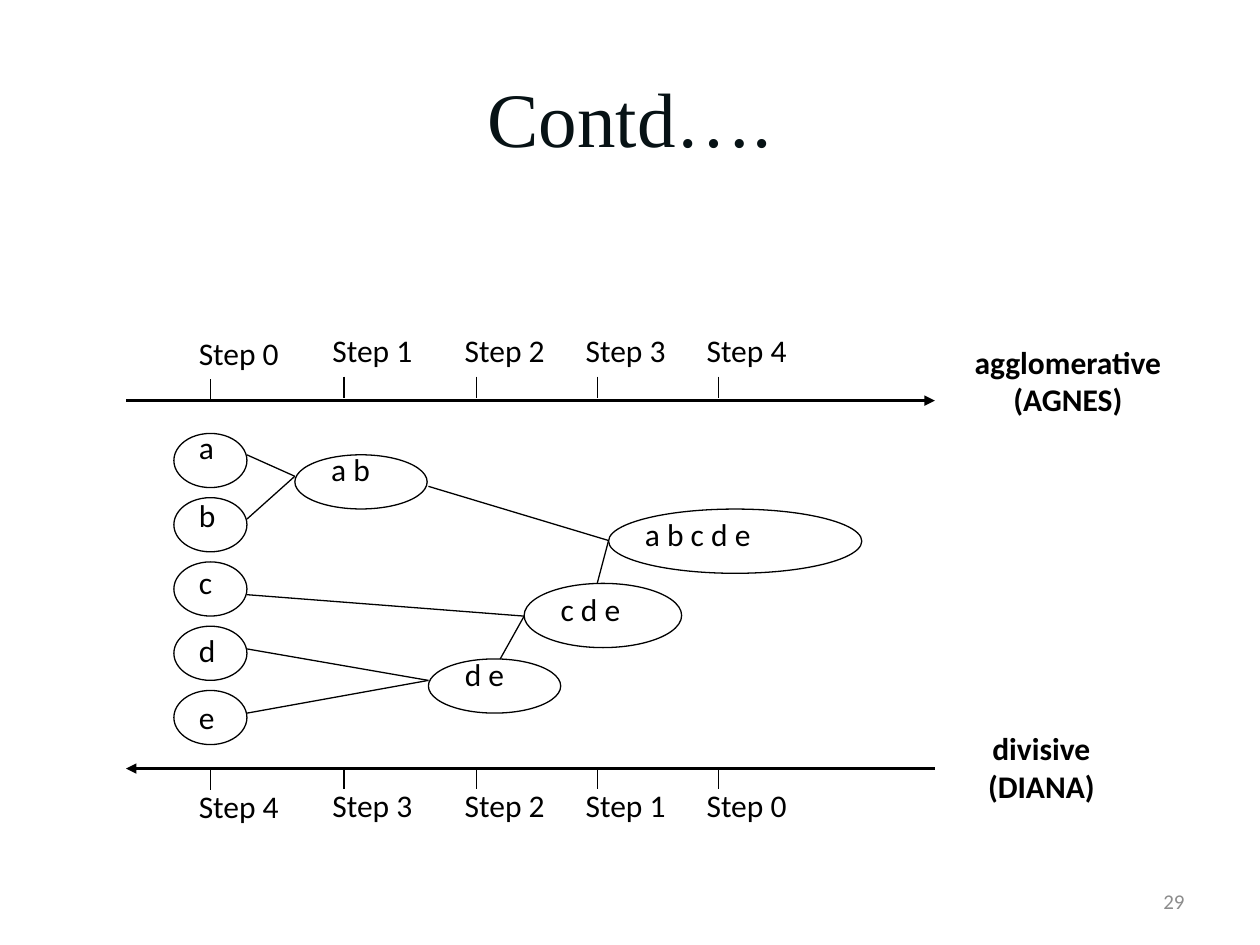
"""Build the slide that contrasts agglomerative and divisive clustering."""
import lxml.etree
import pptx
import pptx.dml.color
import pptx.enum.shapes
import pptx.enum.text
import pptx.oxml.ns
import pptx.util

Inches = pptx.util.Inches
ALIGN = pptx.enum.text.PP_ALIGN
ANCHOR = pptx.enum.text.MSO_ANCHOR
BLACK = "000000"
BODY = {"name": "Calibri", "size": pptx.util.Pt(18), "bold": False}

TICKS = [1.67, 2.73, 3.78, 4.74, 5.7]
AXES = [
    {"y": 3.18, "end": "a:tailEnd", "steps": [0, 1, 2, 3, 4],
     "tick": 2.99, "label": 2.58, "first_drop": 0.02},
    {"y": 6.1, "end": "a:headEnd", "steps": [4, 3, 2, 1, 0],
     "tick": 6.09, "label": 6.19, "first_drop": 0.01},
]
OBJECTS = "abcde"
OBJECT_TOP, OBJECT_PITCH = 3.44, 0.51
LABEL_TOP, LABEL_PITCH = 3.35, 0.535
CLUSTERS = [
    ("a b", 2.34, 3.61, 1.05, 0.43, 3.52),
    ("d e", 3.4, 5.23, 1.05, 0.43, 5.15),
    ("c d e", 4.16, 4.63, 1.25, 0.51, 4.63),
    ("a b c d e", 4.83, 4.04, 2.01, 0.51, 4.04),
]
MERGES = [
    ((2.34, 3.78), [(1.96, 3.61), (1.96, 4.12)]),
    ((3.4, 5.4), [(1.96, 5.15), (1.96, 5.66)]),
    ((4.16, 4.89), [(1.96, 4.72), (3.97, 5.23)]),
    ((4.83, 4.29), [(3.4, 3.86), (4.74, 4.63)]),
]
METHODS = [
    (["agglomerative", "(AGNES)"], 7.2, 2.67, 2.55),
    (["divisive", "(DIANA)"], 7.39, 5.74, 1.75),
]


def color(value):
    return pptx.dml.color.RGBColor.from_string(value)


def write(frame, lines, font, ink=BLACK, align=ALIGN.LEFT, anchor=ANCHOR.TOP):
    frame.word_wrap = True
    frame.vertical_anchor = anchor
    for index, line in enumerate(lines):
        para = frame.add_paragraph() if index else frame.paragraphs[0]
        para.alignment = align
        span = para.add_run()
        span.text = line
        for name, value in font.items():
            setattr(span.font, name, value)
        span.font.color.rgb = color(ink)


def add_text(page, lines, left, top, width, height, font=BODY, **layout):
    box = page.shapes.add_textbox(*map(Inches, (left, top, width, height)))
    write(box.text_frame, lines, font, **layout)


def add_line(page, start, finish, weight=0.75, arrow=None):
    qn = pptx.oxml.ns.qn
    line = page.shapes.add_connector(
        pptx.enum.shapes.MSO_CONNECTOR.STRAIGHT, *map(Inches, start + finish))
    line.line.color.rgb = color(BLACK)
    line.line.width = pptx.util.Pt(weight)
    properties = line._element.spPr
    if arrow:
        outline = properties.find(qn("a:ln"))
        lxml.etree.SubElement(outline, qn(arrow), type="triangle")
    lxml.etree.SubElement(properties, qn("a:effectLst"))


def add_cluster(page, text, left, top, width, height, label_left, label_top):
    oval = page.shapes.add_shape(
        pptx.enum.shapes.MSO_SHAPE.OVAL,
        *map(Inches, (left, top, width, height)))
    oval.shadow.inherit = False
    oval.fill.background()
    oval.line.color.rgb = color(BLACK)
    oval.line.width = pptx.util.Pt(0.75)
    add_text(page, [text], label_left, label_top, max(0.42, width - 0.3), 0.51)


deck = pptx.Presentation()
deck.slide_width, deck.slide_height = Inches(10), Inches(7.5)
page = deck.slides.add_slide(deck.slide_layouts[5])

title = page.shapes.title
title.left, title.top, title.width, title.height = map(
    Inches, (0.5, 0.3, 9, 1.25))
write(title.text_frame, ["Contd…."],
      {"name": "Times New Roman", "size": pptx.util.Pt(44)},
      ink="071215", align=ALIGN.CENTER, anchor=ANCHOR.MIDDLE)
add_text(page, ["29"], 7.17, 6.95, 2.33, 0.4,
         {"name": "Calibri", "size": pptx.util.Pt(12)},
         ink="8C8C8C", align=ALIGN.RIGHT, anchor=ANCHOR.MIDDLE)

for axis in AXES:
    add_line(page, (1, axis["y"]), (7.42, axis["y"]), 1.5, axis["end"])
    for index, (x, step) in enumerate(zip(TICKS, axis["steps"])):
        drop = 0 if index else axis["first_drop"]
        tick = axis["tick"] + drop
        add_line(page, (x, tick), (x, tick + 0.17))
        add_text(page, [f"Step {step}"], x - 0.19, axis["label"] + drop,
                 0.96, 0.41)

for row, name in enumerate(OBJECTS):
    add_cluster(page, name, 1.38, OBJECT_TOP + row * OBJECT_PITCH, 0.58, 0.43,
                1.48, LABEL_TOP + row * LABEL_PITCH)
for text, left, top, width, height, label_top in CLUSTERS:
    add_cluster(page, text, left, top, width, height, left + 0.19, label_top)

for target, sources in MERGES:
    for source in sources:
        add_line(page, source, target)

for lines, left, top, width in METHODS:
    add_text(page, lines, left, top, width, 0.92, {**BODY, "bold": True},
             align=ALIGN.CENTER)

deck.save("out.pptx")
